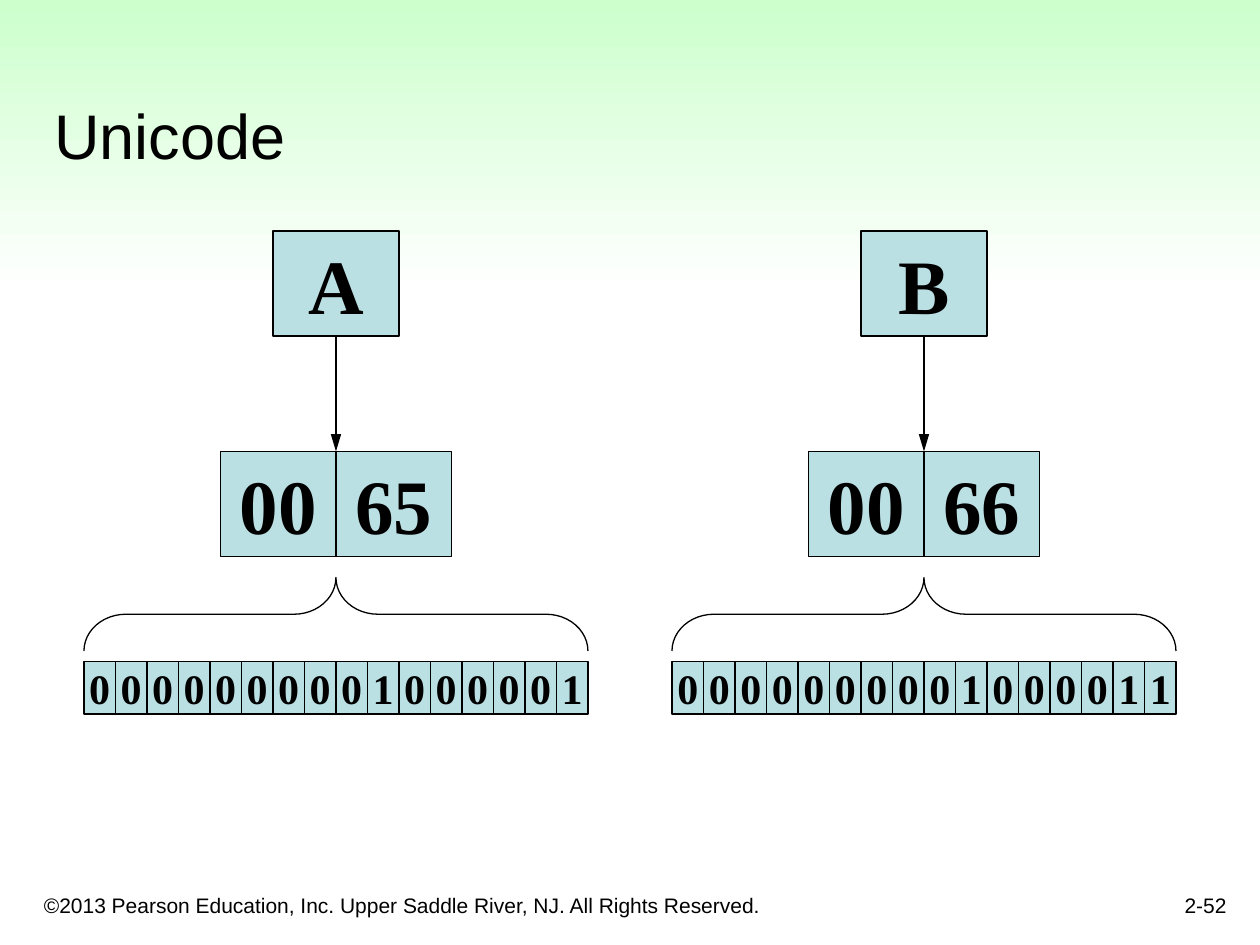
from lxml import etree
from pptx import Presentation
from pptx.dml import color
from pptx.enum import shapes, text
from pptx.util import Pt

FORM = shapes.MSO_SHAPE
ALIGN = text.PP_ALIGN
ANCHOR = text.MSO_ANCHOR
DRAW = "{http://schemas.openxmlformats.org/drawingml/2006/main}"
INK, TEAL = "000000", "BBE0E3"


def paint(code):
    return color.RGBColor.from_string(code)


def style(para, size, font, align, bold=False):
    para.alignment = align
    para.font.size = Pt(size)
    para.font.name = font
    para.font.bold = bold
    para.font.color.rgb = paint(INK)


def label(slide, box, words, size, align=ALIGN.LEFT):
    frame = slide.shapes.add_textbox(*map(Pt, box)).text_frame
    frame.word_wrap = True
    frame.vertical_anchor = ANCHOR.BOTTOM
    frame.text = words
    style(frame.paragraphs[0], size, "Arial", align)


def band(slide, box):
    shape = slide.shapes.add_shape(FORM.RECTANGLE, *map(Pt, box))
    shape.shadow.inherit = False
    shape.line.fill.background()
    shape.fill.gradient()
    shape.fill.gradient_angle = 270
    for stop, place, code in zip(shape.fill.gradient_stops, (0, 1), ("CCFFCC", "FFFFFF")):
        stop.position = place
        stop.color.rgb = paint(code)


def cell(slide, box, words, size):
    shape = slide.shapes.add_shape(FORM.RECTANGLE, *map(Pt, box))
    shape.shadow.inherit = False
    shape.fill.solid()
    shape.fill.fore_color.rgb = paint(TEAL)
    shape.line.color.rgb = paint(INK)
    shape.line.width = Pt(0.75)
    frame = shape.text_frame
    frame.word_wrap = False
    frame.vertical_anchor = ANCHOR.MIDDLE
    frame.text = words
    style(frame.paragraphs[0], size, "Times New Roman", ALIGN.CENTER, True)
    return shape


def row(slide, box, items, size):
    left, top, width, height = box
    step = width / len(items)
    for i, item in enumerate(items):
        cell(slide, (left + i * step, top, step, height), item, size)


def arrow(slide, start, x, top, end):
    line = slide.shapes.add_connector(shapes.MSO_CONNECTOR.STRAIGHT, Pt(x), Pt(top), Pt(x), Pt(end))
    line.begin_connect(start, 2)
    line.line.color.rgb = paint(INK)
    line.line.width = Pt(1.5)
    etree.SubElement(line.line._get_or_add_ln(), DRAW + "tailEnd", type="triangle", w="med", len="lg")
    etree.SubElement(line._element.spPr, DRAW + "effectLst")


def brace(slide, box):
    left, top, width, height = box
    shift = (width - height) / 2
    turned = (left + shift, top - shift, height, width)
    shape = slide.shapes.add_shape(FORM.RIGHT_BRACE, *map(Pt, turned))
    shape.rotation = 270
    shape.adjustments[0] = 24 / height
    shape.adjustments[1] = 0.5
    shape.shadow.inherit = False
    shape.fill.background()
    shape.line.color.rgb = paint(INK)
    shape.line.width = Pt(0.75)


def panel(slide, box, letter, pair, bits):
    left, top, width, height = box
    mid = left + width / 2
    start = cell(slide, (mid - 36, top, 72, 60), letter, 44)
    row(slide, (mid - 66, top + 126, 132, 60), pair, 44)
    arrow(slide, start, mid, top + 60, top + 126)
    brace(slide, (left, top + 198, width, 42))
    row(slide, (left, top + height - 30, width, 30), bits, 24)


def main():
    deck = Presentation()
    deck.slide_width, deck.slide_height = Pt(720), Pt(540)
    slide = deck.slides.add_slide(deck.slide_layouts[6])
    band(slide, (0, 0, 720, 167))
    label(slide, (18, 498, 438, 30),
          "©2013 Pearson Education, Inc. Upper Saddle River, NJ. All Rights Reserved.", 12)
    label(slide, (558, 492, 150, 36), "2-52", 12, ALIGN.RIGHT)
    label(slide, (24, 24, 678, 78), "Unicode", 36)
    panel(slide, (48, 132, 288, 276), "A", ("00", "65"), "0000000001000001")
    panel(slide, (384, 132, 288, 276), "B", ("00", "66"), "0000000001000011")
    deck.save("out.pptx")


if __name__ == "__main__":
    main()
